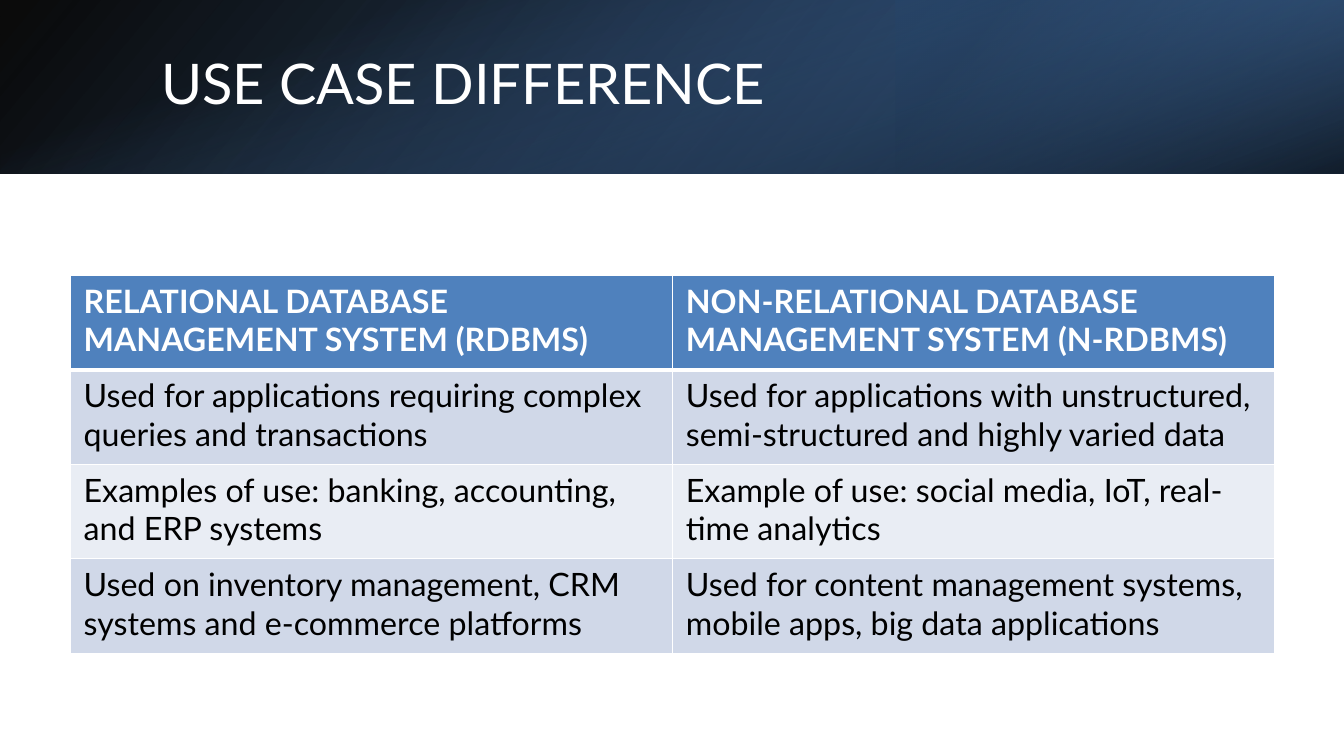
from pptx import Presentation
from pptx import util as u
from pptx.dml.color import RGBColor
from pptx.enum import shapes, text
from pptx.oxml import parse_xml
from pptx.oxml.ns import nsdecls, qn

# Content
TITLE = "USE CASE DIFFERENCE"
ROWS = [
    ("RELATIONAL DATABASE MANAGEMENT SYSTEM (RDBMS)",
     "NON-RELATIONAL DATABASE MANAGEMENT SYSTEM (N-RDBMS)"),
    ("Used for applications requiring complex queries and transactions",
     "Used for applications with unstructured, semi-structured and highly varied data"),
    ("Examples of use: banking, accounting, and ERP systems",
     "Example of use: social media, IoT, real-time analytics"),
    ("Used on inventory management, CRM systems and e-commerce platforms",
     "Used for content management systems, mobile apps, big data applications"),
]

# Style
HEX = {"white": "FFFFFF", "black": "000000", "navy": "254061", "steel": "376092",
       "blue": "4F81BD", "odd": "D0D8E8", "even": "E9EDF4"}
FONT = "Lato"
WIDE, HIGH, BAND = 960, 540, 124
MID = (WIDE - BAND) / 2
TABLE = (50.4, 196.56, 860.4, 270)
INSET = {"margin_left": 9.36, "margin_right": 9.36,
         "margin_top": 4.32, "margin_bottom": 4.32}

# Header layers: box, rotation, mirrored, angle, stops (place, colour, opacity)
LAYERS = [
    ((0, 0, WIDE, BAND), 0, True, 140,
     [(0, "black", 96), (100, "steel", 100)]),
    ((WIDE * 2 / 3, 0, WIDE / 3, BAND), 180, True, 320,
     [(19, "navy", 68), (100, "blue", 79)]),
    ((MID, -MID, BAND, WIDE), 90, False, 340,
     [(23, "blue", 0), (99, "black", 74)]),
]


def rgb(name):
    return RGBColor.from_string(HEX[name])


def pts(box):
    return [u.Pt(n) for n in box]


def style(run, **look):
    for key, val in look.items():
        setattr(run.font, key, val)


def add_rect(slide, box):
    rect = slide.shapes.add_shape(shapes.MSO_SHAPE.RECTANGLE, *pts(box))
    rect.shadow.inherit = False
    rect.line.fill.background()
    return rect


def add_layer(slide, box, turn, flip, angle, stops):
    rect = add_rect(slide, box)
    rect.rotation = turn
    rect.fill.background()
    props = rect.element.spPr
    if flip:
        props.find(qn("a:xfrm")).set("flipH", "1")
    marks = "".join(
        f'<a:gs pos="{pos * 1000}"><a:srgbClr val="{HEX[name]}">'
        f'<a:alpha val="{alpha * 1000}"/></a:srgbClr></a:gs>'
        for pos, name, alpha in stops)
    grad = parse_xml(
        f'<a:gradFill {nsdecls("a")} rotWithShape="1"><a:gsLst>{marks}</a:gsLst>'
        f'<a:lin ang="{angle * 60000}" scaled="0"/></a:gradFill>')
    props.replace(props.find(qn("a:noFill")), grad)


def add_edges(cell, head):
    props = cell.fill._xPr
    for spot, side in enumerate("LRTB"):
        width = 3 if head and side == "B" else 1
        props.insert(spot, parse_xml(
            f'<a:ln{side} {nsdecls("a")} w="{u.Pt(width)}"><a:solidFill>'
            f'<a:srgbClr val="{HEX["white"]}"/></a:solidFill></a:ln{side}>'))


def add_grid(slide):
    grid = slide.shapes.add_table(len(ROWS), len(ROWS[0]), *pts(TABLE)).table
    for row, words in enumerate(ROWS):
        head = row == 0
        tint = "blue" if head else "odd" if row % 2 else "even"
        for col, word in enumerate(words):
            cell = grid.cell(row, col)
            for key, val in INSET.items():
                setattr(cell, key, u.Pt(val))
            cell.fill.solid()
            cell.fill.fore_color.rgb = rgb(tint)
            add_edges(cell, head)
            run = cell.text_frame.paragraphs[0].add_run()
            run.text = word
            style(run, name=FONT, size=u.Pt(23), bold=head)
            run.font.color.rgb = rgb("white" if head else "black")


def add_title(slide):
    title = slide.shapes.title
    title.left, title.top, title.width, title.height = pts((108, 27.36, 790.56, 69.12))
    frame = title.text_frame
    frame.word_wrap = True
    frame.auto_size = text.MSO_AUTO_SIZE.NONE
    frame.vertical_anchor = text.MSO_ANCHOR.MIDDLE
    para = frame.paragraphs[0]
    para.alignment = text.PP_ALIGN.LEFT
    para.line_spacing = 0.9
    run = para.add_run()
    run.text = TITLE
    style(run, name=FONT, size=u.Pt(40), bold=False)
    run.font.color.rgb = rgb("white")
    # Bring the title in front of the header layers
    title.element.getparent().append(title.element)


def main():
    deck = Presentation()
    deck.slide_width, deck.slide_height = pts((WIDE, HIGH))
    slide = deck.slides.add_slide(deck.slide_layouts[5])
    # Backdrop and header
    back = add_rect(slide, (0, 0, WIDE, HIGH))
    back.fill.solid()
    back.fill.fore_color.rgb = rgb("white")
    for layer in LAYERS:
        add_layer(slide, *layer)
    # Title and comparison table
    add_title(slide)
    add_grid(slide)
    deck.save("out.pptx")


if __name__ == "__main__":
    main()
